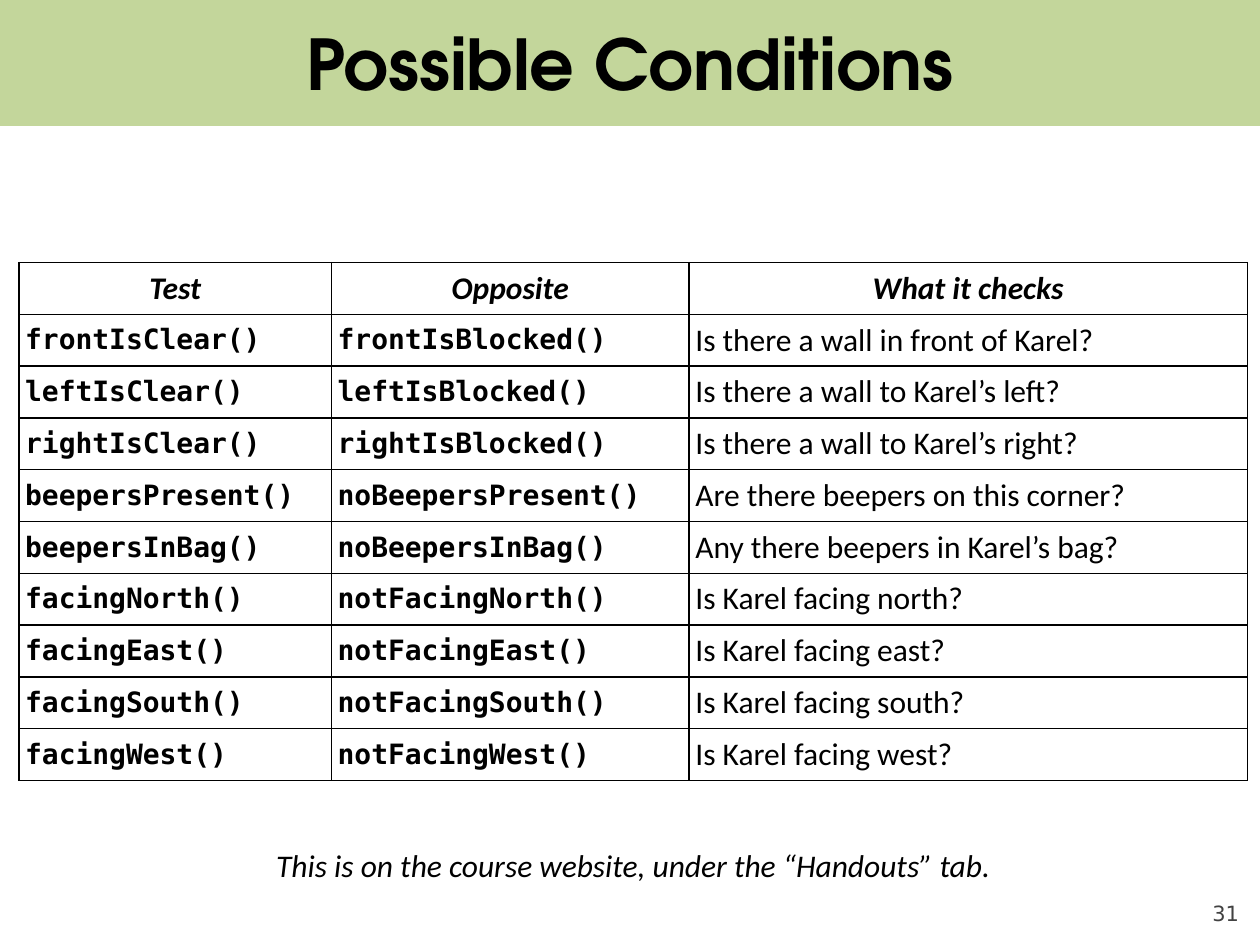
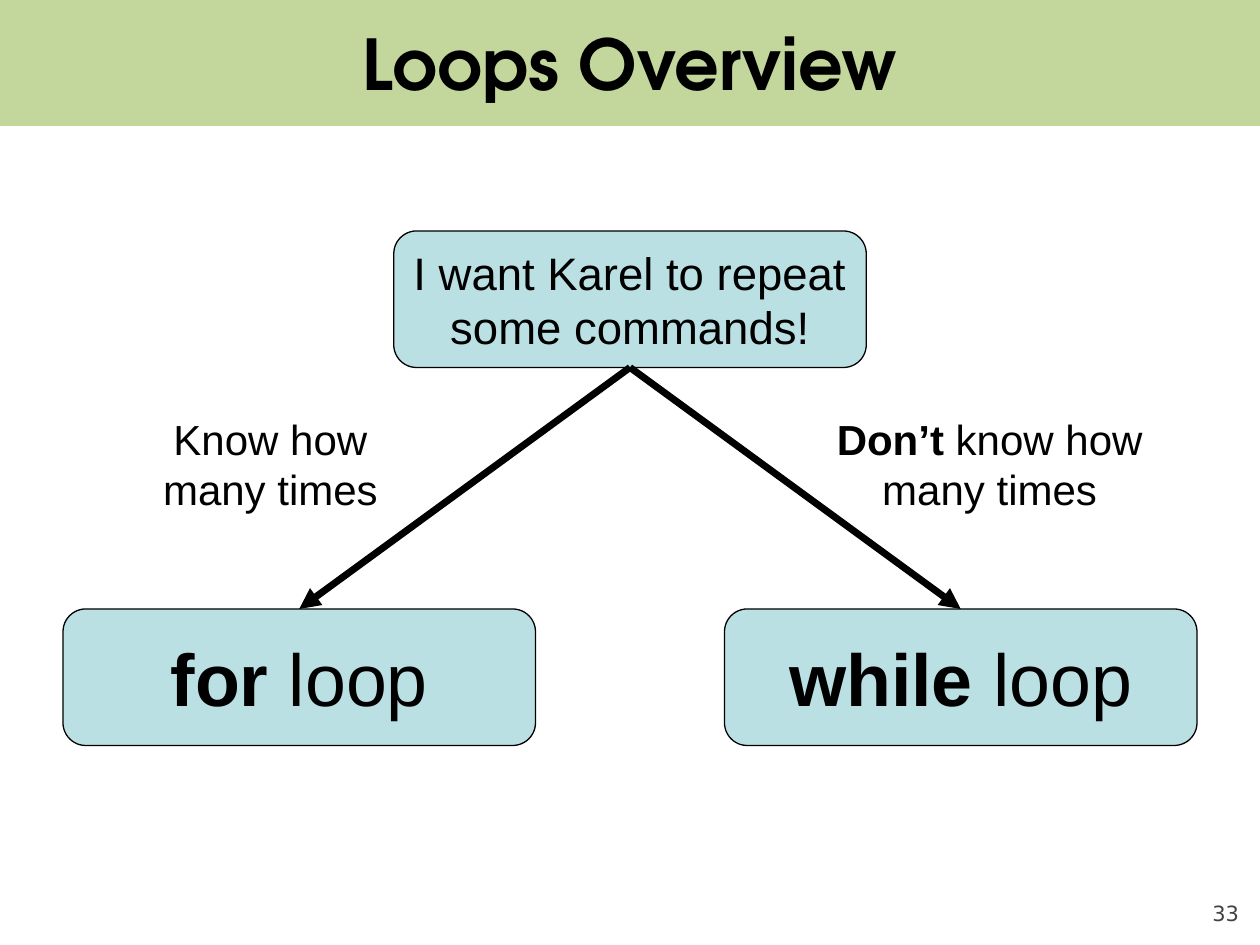
import pptx
import pptx.util
import pptx.dml.color
import pptx.enum.shapes
import pptx.enum.text
import pptx.oxml.ns
import lxml.etree

Pt = pptx.util.Pt
qn = pptx.oxml.ns.qn
Align = pptx.enum.text.PP_ALIGN
Anchor = pptx.enum.text.MSO_ANCHOR
Kind = pptx.enum.shapes.MSO_SHAPE

HUES = {"band": "C3D69B", "box": "BBE0E3", "ink": "000000", "page": "424242"}

TESTS = [
    ("frontIsClear()", "frontIsBlocked()", "Is there a wall in front of Karel?"),
    ("leftIsClear()", "leftIsBlocked()", "Is there a wall to Karel’s left?"),
    ("rightIsClear()", "rightIsBlocked()", "Is there a wall to Karel’s right?"),
    ("beepersPresent()", "noBeepersPresent()", "Are there beepers on this corner?"),
    ("beepersInBag()", "noBeepersInBag()", "Any there beepers in Karel’s bag?"),
    ("facingNorth()", "notFacingNorth()", "Is Karel facing north?"),
    ("facingEast()", "notFacingEast()", "Is Karel facing east?"),
    ("facingSouth()", "notFacingSouth()", "Is Karel facing south?"),
    ("facingWest()", "notFacingWest()", "Is Karel facing west?"),
]


def hue(name):
    return pptx.dml.color.RGBColor.from_string(HUES[name])


def write(frame, text, size=18, font="Calibri", color="ink", bold=False,
          slant=False, align=Align.CENTER, anchor=Anchor.MIDDLE):
    """Fill a text frame; parts between asterisks are bold."""
    frame.word_wrap = True
    frame.vertical_anchor = anchor
    line = frame.paragraphs[0]
    line.alignment = align
    for i, part in enumerate(text.split("*")):
        if part:
            run = line.add_run()
            run.text = part
            run.font.size = Pt(size)
            run.font.name = font
            run.font.bold = bold or i % 2 == 1
            run.font.italic = slant
            run.font.color.rgb = hue(color)


class Deck:
    def __init__(self):
        self.file = pptx.Presentation()
        self.file.slide_width, self.file.slide_height = Pt(720), Pt(540)

    def page(self, title, number):
        self.slide = self.file.slides.add_slide(self.file.slide_layouts[5])
        self.shapes = self.slide.shapes
        band = self.shape(Kind.RECTANGLE, 0, 0, 720, 72, "band")
        self.shapes._spTree.insert(2, band._element)
        head = self.shapes.title
        head.left, head.top, head.width, head.height = Pt(36), Pt(0), Pt(648), Pt(72)
        write(head.text_frame, title, size=40, font="TeX Gyre Adventor", bold=True)
        foot = self.label(number, 648, 500, 60, 29, size=12, font="DejaVu Sans",
                          color="page", align=Align.RIGHT, anchor=Anchor.BOTTOM)
        foot.margin_left = foot.margin_right = foot.margin_top = foot.margin_bottom = 0

    def shape(self, kind, x, y, w, h, fill):
        item = self.shapes.add_shape(kind, Pt(x), Pt(y), Pt(w), Pt(h))
        item.shadow.inherit = False
        item.fill.solid()
        item.fill.fore_color.rgb = hue(fill)
        item.line.fill.background()
        return item

    def box(self, text, x, y, size):
        item = self.shape(Kind.ROUNDED_RECTANGLE, x, y, 270, 78, "box")
        item.line.color.rgb = hue("ink")
        item.line.width = Pt(0.75)
        write(item.text_frame, text, size=size, font="Arial")

    def label(self, text, x, y, w, h, **form):
        frame = self.shapes.add_textbox(Pt(x), Pt(y), Pt(w), Pt(h)).text_frame
        write(frame, text, **form)
        return frame

    def arrow(self, x1, y1, x2, y2):
        item = self.shapes.add_connector(
            pptx.enum.shapes.MSO_CONNECTOR.STRAIGHT, Pt(x1), Pt(y1), Pt(x2), Pt(y2))
        item.line.color.rgb = hue("ink")
        item.line.width = Pt(4)
        props = item._element.spPr
        lxml.etree.SubElement(props.find(qn("a:ln")), qn("a:tailEnd"), type="triangle")
        lxml.etree.SubElement(props, qn("a:effectLst"))

    def cell(self, cell, text, **form):
        cell.margin_left = cell.margin_right = Pt(3.6)
        cell.margin_top = cell.margin_bottom = Pt(3.6)
        write(cell.text_frame, text, **form)
        cell.vertical_anchor = form.get("anchor", Anchor.MIDDLE)
        props = cell._tc.get_or_add_tcPr()
        for side in "LRTB":
            edge = lxml.etree.SubElement(props, qn("a:ln" + side), w=str(Pt(1)))
            fill = lxml.etree.SubElement(edge, qn("a:solidFill"))
            lxml.etree.SubElement(fill, qn("a:srgbClr"), val=HUES["ink"])
        cell.fill.background()

    def table(self, heads, rows, x, y, widths, high):
        count = len(rows) + 1
        grid = self.shapes.add_table(count, len(heads), Pt(x), Pt(y),
                                     Pt(sum(widths)), Pt(high * count)).table
        grid.first_row = grid.horz_banding = False
        for col, wide in zip(grid.columns, widths):
            col.width = Pt(wide)
        for row in grid.rows:
            row.height = Pt(high)
        code = dict(size=16, font="DejaVu Sans Mono", bold=True, align=Align.LEFT)
        forms = [code, code, dict(align=Align.LEFT)]
        for c, head in enumerate(heads):
            self.cell(grid.cell(0, c), head, bold=True, slant=True, anchor=Anchor.BOTTOM)
            for r, row in enumerate(rows, 1):
                self.cell(grid.cell(r, c), row[c], **forms[c])


def main():
    deck = Deck()

    deck.page("Possible Conditions", "31")
    deck.table(["Test", "Opposite", "What it checks"], TESTS,
               10.8, 150, [178.6, 204.4, 319], 29.6)
    deck.label("This is on the course website, under the “Handouts” tab.",
               32, 480, 660, 29, slant=True)

    deck.page("Loops Overview", "33")
    deck.box("I want Karel to repeat some commands!", 225, 132, 26)
    loops = [("*for* loop", 36, "Know how many times", 60),
             ("*while* loop", 414, "*Don’t* know how many times", 471)]
    for loop, left, hint, side in loops:
        deck.box(loop, left, 348, 42)
        deck.arrow(360, 210, left + 135, 348)
        deck.label(hint, side, 232, 189, 66, size=24, font="Arial")

    deck.file.save("out.pptx")


if __name__ == "__main__":
    main()
